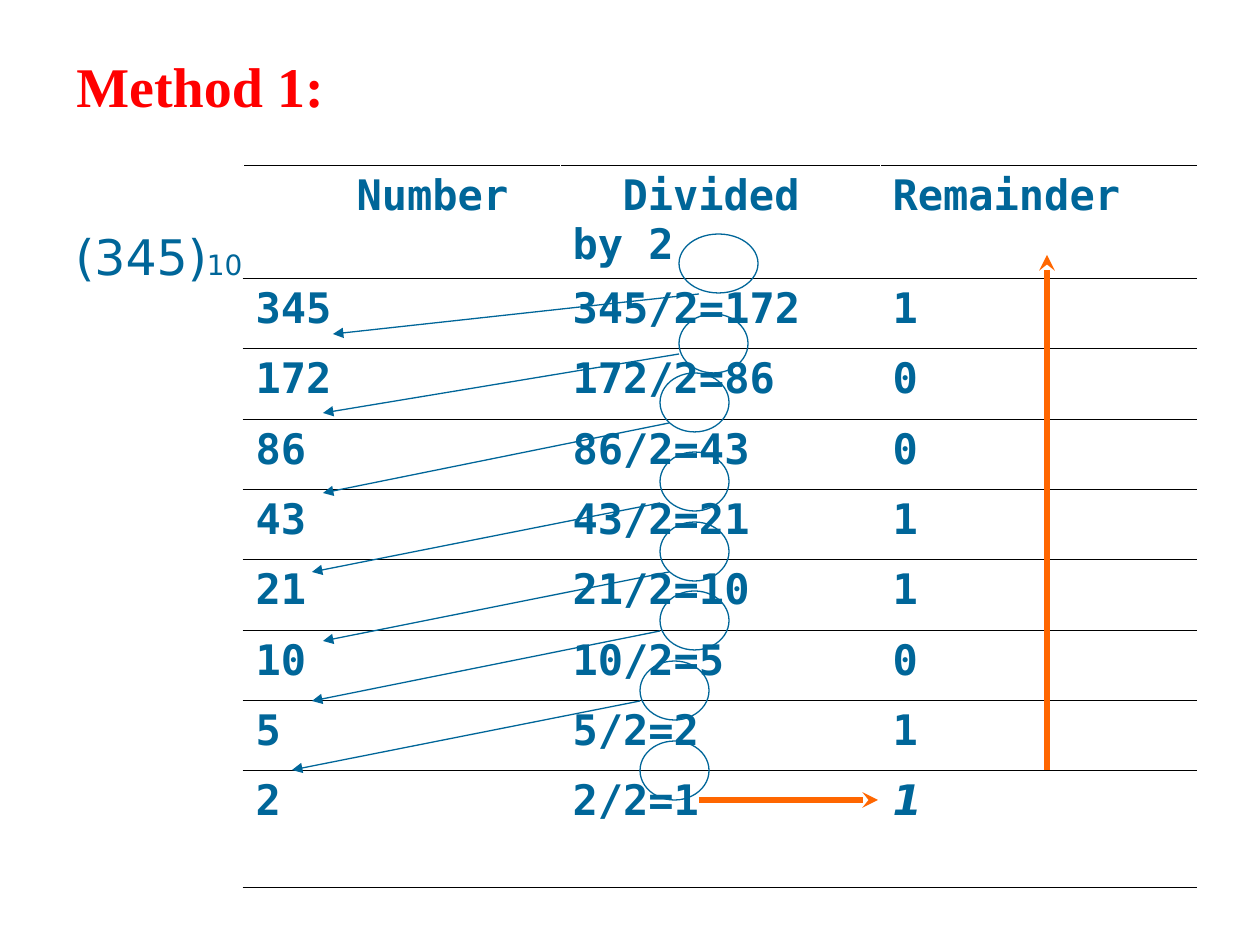
from pptx import Presentation
from pptx.dml.color import RGBColor
from pptx.enum.shapes import MSO_CONNECTOR as Link, MSO_SHAPE as Shape
from pptx.oxml.ns import qn
from pptx.util import Emu, Pt
from lxml.etree import SubElement as Sub

BLUE = RGBColor(0x00, 0x66, 0x99)
RED = RGBColor(0xFF, 0x00, 0x00)
ORANGE = RGBColor(0xFF, 0x66, 0x00)
SANS, MONO, SERIF = "DejaVu Sans", "DejaVu Sans Mono", "Times New Roman"


def px(n):
    return Emu(round(n * 914400 / 126))


def write(para, text, font=MONO, size=24, color=BLUE, bold=True, italic=False, before=0, indent=0):
    run = para.add_run()
    run.text = text
    run.font.name, run.font.size = font, Pt(size)
    run.font.bold, run.font.italic = bold, italic
    run.font.color.rgb = color
    if before:
        para.space_before = Pt(before)
    if indent:
        props = para._p.get_or_add_pPr()
        props.set("marL", "0")
        props.set("indent", str(px(indent)))


deck = Presentation()
deck.slide_width, deck.slide_height = px(1260), px(945)
slide = deck.slides.add_slide(deck.slide_layouts[6])
shapes = slide.shapes

value = shapes.add_textbox(px(63), px(220), px(557), px(614)).text_frame
value.word_wrap = True
write(value.paragraphs[0], "(345)", font=SANS, size=28, bold=False, before=4)
write(value.paragraphs[0], "10", font=SANS, size=16, bold=False)

rows = [("Number", "Divided by 2", "Remainder")]
num = 345
while num > 1:
    rows.append((str(num), f"{num}/2={num // 2}", str(num % 2)))
    num //= 2
rows.append((rows.pop()[0], "2/2=1", "1"))

table = shapes.add_table(len(rows), 3, px(243), px(165), px(954), px(679)).table
table.first_row = table.horz_banding = False
for col, width in zip(table.columns, (317, 320, 317)):
    col.width = px(width)
for row, high in zip(table.rows, (70, 70, 71, 70, 70, 71, 70, 70, 117)):
    row.height = px(high)

edges = (("L", "FFFFFF", 0.45), ("R", "FFFFFF", 0.45), ("T", "000000", 0.34), ("B", "000000", 0.34))
heads = (101, 50, 0)
for r, row in enumerate(rows):
    for c, text in enumerate(row):
        cell = table.cell(r, c)
        props = cell._tc.get_or_add_tcPr()
        for side, shade, width in edges:
            edge = Sub(props, qn(f"a:ln{side}"), w=str(Pt(width)))
            Sub(Sub(edge, qn("a:solidFill")), qn("a:srgbClr"), val=shade)
        cell.fill.background()
        last = r == len(rows) - 1 and c == 2
        write(cell.text_frame.paragraphs[0], text, font=SANS if last else MONO, italic=last,
              before=6 if last else 0, indent=0 if r else heads[c])

title = shapes.add_textbox(px(64), px(45), px(635), px(81)).text_frame
title.word_wrap = True
write(title.paragraphs[0], "Method 1:", font=SERIF, size=32, color=RED, before=20)

rings = [(679, 234, 79), (679, 314, 69), (660, 373, 69), (660, 452, 69),
         (660, 522, 69), (660, 591, 69), (640, 661, 69), (640, 741, 69)]
for left, top, width in rings:
    ring = shapes.add_shape(Shape.OVAL, px(left), px(top), px(width), px(59))
    ring.shadow.inherit = False
    ring.fill.background()
    ring.line.color.rgb = BLUE
    ring.line.width = Pt(0.75)

thin, thick = (BLUE, 0.75, "triangle"), (ORANGE, 3, "stealth")
arrows = [
    (699, 294, 333, 334, thin),
    (679, 354, 323, 413, thin),
    (669, 423, 323, 493, thin),
    (660, 503, 312, 572, thin),
    (669, 572, 323, 641, thin),
    (660, 631, 312, 701, thin),
    (640, 701, 292, 770, thin),
    (1047, 770, 1047, 255, thick),
    (699, 800, 878, 800, thick),
]
for x1, y1, x2, y2, (color, width, tip) in arrows:
    arrow = shapes.add_connector(Link.STRAIGHT, px(x1), px(y1), px(x2), px(y2))
    arrow.line.color.rgb = color
    arrow.line.width = Pt(width)
    Sub(arrow.line._get_or_add_ln(), qn("a:tailEnd"), type=tip)
    Sub(arrow._element.spPr, qn("a:effectLst"))

deck.save("out.pptx")
